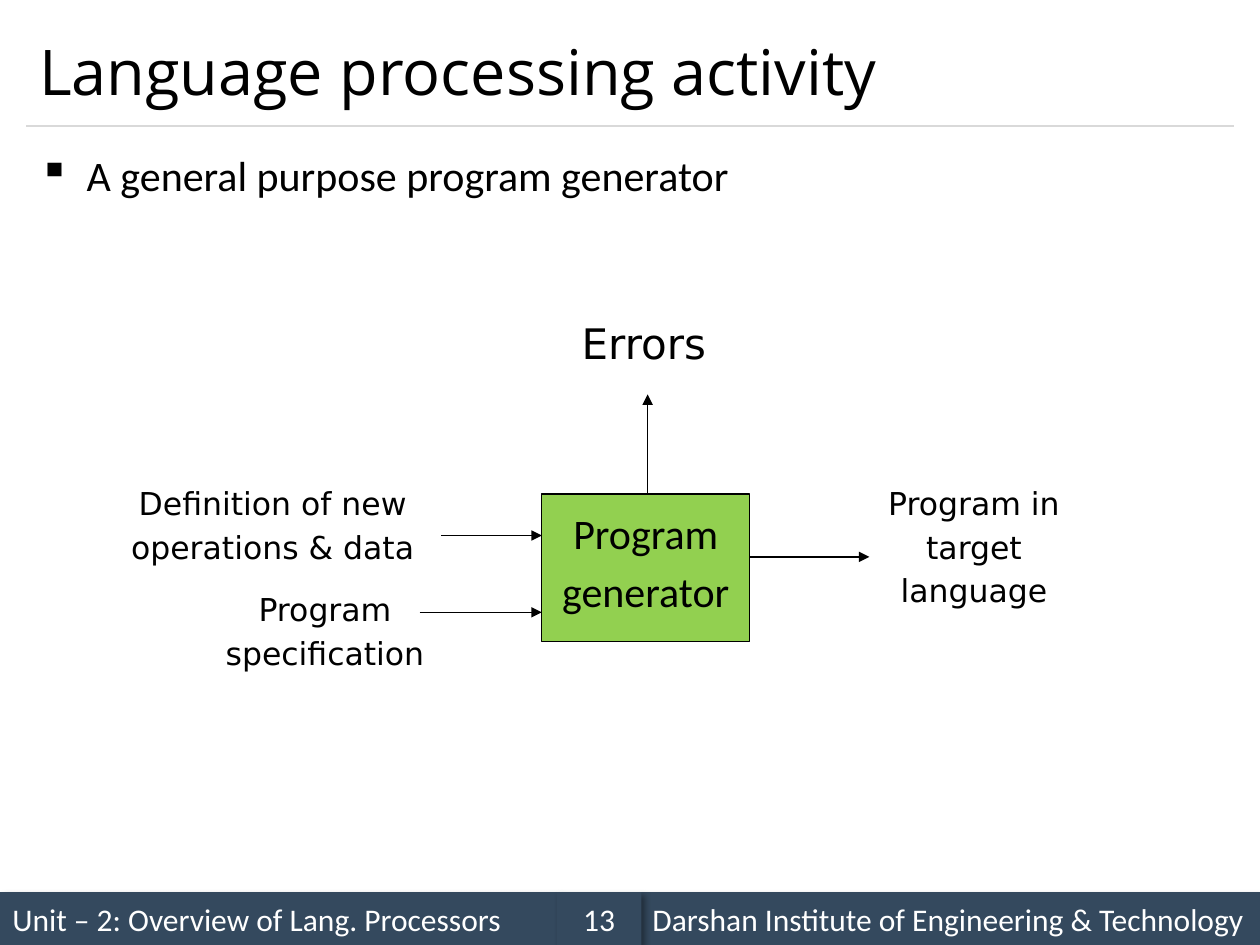
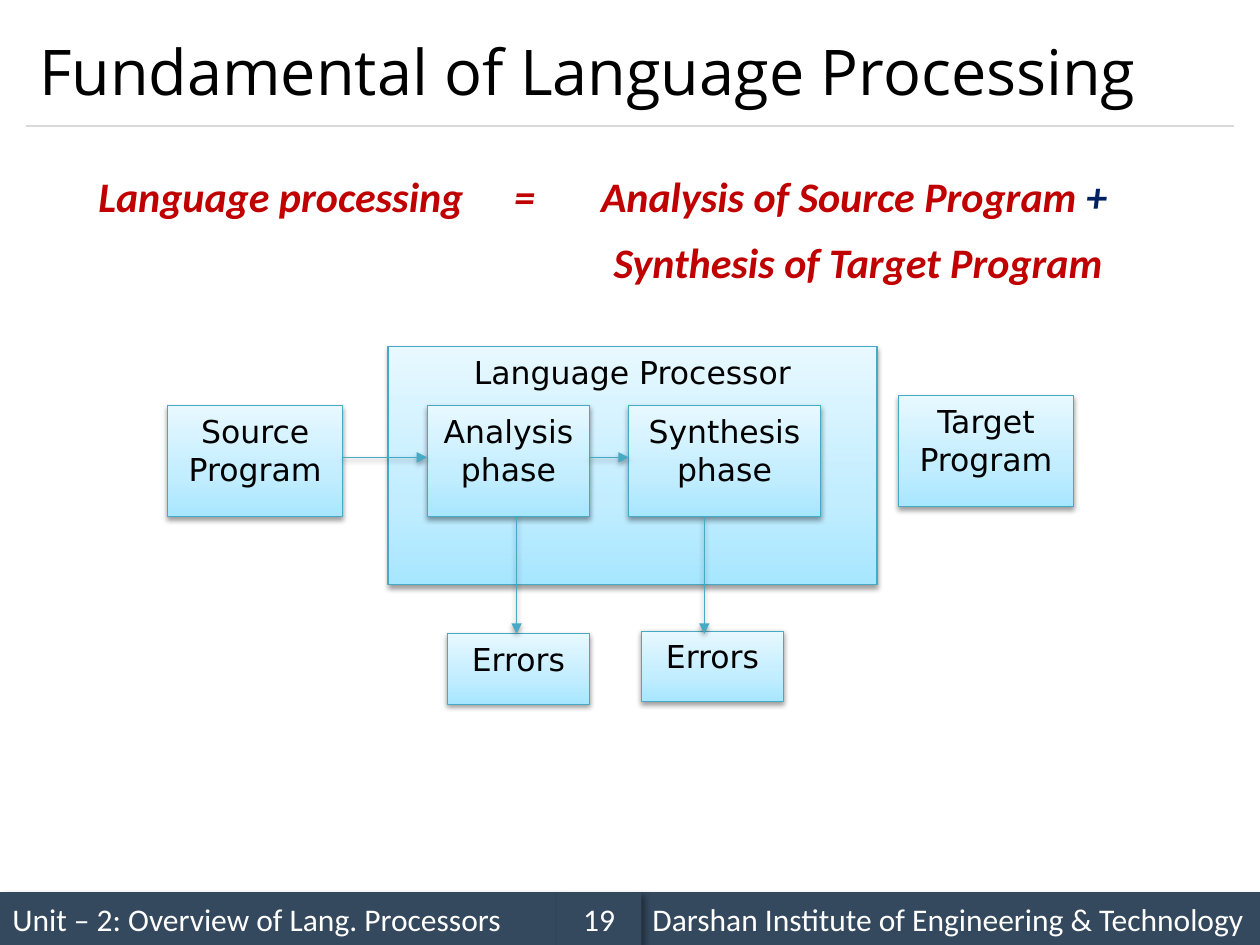
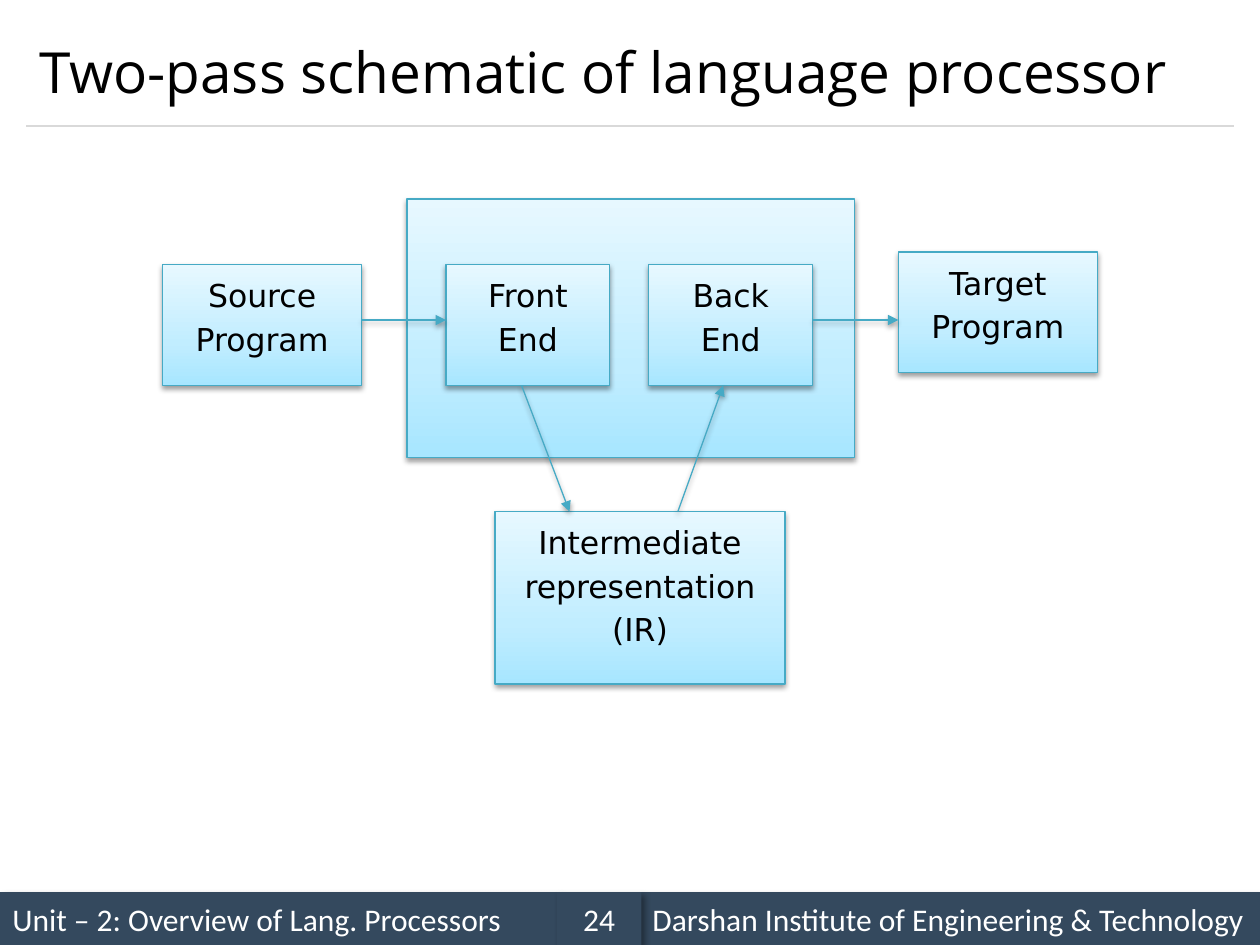
from copy import deepcopy

from lxml import etree
from pptx import Presentation
from pptx import util as u
from pptx.dml import color
from pptx.enum import shapes, text
from pptx.oxml import ns

# The slide is a grid of 100 columns and 75 rows
WIDTH, HEIGHT = u.Inches(10), u.Inches(7.5)
COLUMN, ROW = WIDTH / 100, HEIGHT / 75

BLACK, WHITE, BAND, RULE = "000000", "FFFFFF", "34495E", "D9D9D9"
GREEN, TEAL, RED, NAVY = "92D050", "46AAC5", "C00000", "002060"
SKY = [(0, "A7E6FF"), (0.35, "C1EDFF"), (1, "E7F8FF")]
BAND_SHADOW = {"alpha": 40, "blur": 4, "distance": 3, "angle": 45}
BOX_SHADOW = {"alpha": 38, "blur": 3.1, "distance": 1.6, "angle": 90}

TITLE = {"name": "Open Sans", "size": 36, "color": BLACK}
BODY = {"name": "Calibri", "size": 24, "color": BLACK}
FORMULA = {**BODY, "color": RED, "bold": True, "italic": True}
LABEL = {"name": "DejaVu Sans", "size": 18, "color": BLACK}
FOOTER = {"name": "Calibri", "size": 18, "color": WHITE}
LOOSE = 1.15

LEFT, CENTER = text.PP_ALIGN.LEFT, text.PP_ALIGN.CENTER
TOP, MIDDLE = text.MSO_ANCHOR.TOP, text.MSO_ANCHOR.MIDDLE


def rgb(code):
    return color.RGBColor.from_string(code)


def grid(column, row):
    return round(column * COLUMN), round(row * ROW)


def area(left, top, width, height):
    return grid(left, top) + grid(width, height)


def add_element(parent, tag, **attributes):
    element = etree.SubElement(parent, ns.qn(tag))
    for name, value in attributes.items():
        element.set(name, str(value))
    return element


def set_shadow(shape, shadow=None):
    """Replace the theme's shadow; call after fill and line are set."""
    effects = add_element(shape._element.spPr, "a:effectLst")
    if shadow:
        outer = add_element(effects, "a:outerShdw",
                            blurRad=u.Pt(shadow["blur"]), dist=u.Pt(shadow["distance"]),
                            dir=shadow["angle"] * 60000, algn="ctr", rotWithShape=0)
        tint = add_element(outer, "a:srgbClr", val=BLACK)
        add_element(tint, "a:alpha", val=shadow["alpha"] * 1000)


def set_fill(shape, fill):
    if isinstance(fill, str):
        shape.fill.solid()
        shape.fill.fore_color.rgb = rgb(fill)
        return
    shape.fill.gradient()
    shape.fill.gradient_angle = 90
    stops = shape._element.spPr.find(".//" + ns.qn("a:gsLst"))
    stops.insert(1, deepcopy(stops[0]))
    for stop, (position, code) in zip(shape.fill.gradient_stops, fill):
        stop.position = position
        stop.color.rgb = rgb(code)


def set_line(shape, code):
    shape.line.color.rgb = rgb(code)
    shape.line.width = u.Pt(0.75)


def write(para, words, style):
    span = para.add_run()
    span.text = words
    for name, value in style.items():
        if name == "color":
            span.font.color.rgb = rgb(value)
        else:
            setattr(span.font, name, u.Pt(value) if name == "size" else value)


def set_text(shape, words, style, align=CENTER, anchor=TOP, spacing=1.0):
    frame = shape.text_frame
    frame.word_wrap = True
    frame.vertical_anchor = anchor
    para = frame.paragraphs[0]
    para.alignment = align
    para.line_spacing = spacing
    write(para, words, style)
    return para


# Kinds of element
def add_box(page, place, fill, words="", style=LABEL, line=None, shadow=None, **layout):
    box = page.shapes.add_shape(shapes.MSO_SHAPE.RECTANGLE, *area(*place))
    set_fill(box, fill)
    if line:
        set_line(box, line)
    else:
        box.line.fill.background()
    set_shadow(box, shadow)
    if words:
        set_text(box, words, style, **layout)


def add_stage(page, place, words="", spacing=1.0):
    add_box(page, place, SKY, words, line=TEAL, shadow=BOX_SHADOW, spacing=spacing)


def add_line(page, start, end, code, arrow=True, shadow=None):
    line = page.shapes.add_connector(shapes.MSO_CONNECTOR.STRAIGHT, *grid(*start), *grid(*end))
    set_line(line, code)
    if arrow:
        add_element(line.line._get_or_add_ln(), "a:tailEnd", type="triangle")
    set_shadow(line, shadow)


def add_flows(page, flows):
    for start, end in flows:
        add_line(page, start, end, TEAL, shadow=BOX_SHADOW)


def add_page(deck, title, number, size=36):
    page = deck.slides.add_slide(deck.slide_layouts[5])
    heading = page.shapes.title
    heading.left, heading.top, heading.width, heading.height = area(2.1, 1.2, 95.8, 8.8)
    set_text(heading, title, {**TITLE, "size": size}, LEFT, MIDDLE)
    add_line(page, (2.1, 10), (97.9, 10), RULE, arrow=False)
    for left, width, words, align in [
        (0, 44.2, "Unit – 2: Overview of Lang. Processors", LEFT),
        (50.8, 49.2, "Darshan Institute of Engineering & Technology", LEFT),
        (44.2, 6.7, str(number), CENTER),
    ]:
        add_box(page, (left, 70.8, width, 4.2), BAND, words, FOOTER,
                shadow=BAND_SHADOW, align=align, anchor=MIDDLE)
    return page


# Slides
def add_generator(deck):
    page = add_page(deck, "Language processing activity", 13)
    body = page.shapes.add_textbox(*area(2.1, 10.8, 95.8, 8.3))
    para = set_text(body, "A general purpose program generator", BODY, LEFT, spacing=1.14)
    settings = para._p.get_or_add_pPr()
    settings.set("marL", str(u.Inches(0.38)))
    settings.set("indent", str(-u.Inches(0.38)))
    add_element(settings, "a:buChar", char="▪")

    for place, words, size in [
        ((13.3, 45.9, 25, 7.3), "Program specification", 18),
        ((68.4, 37.5, 17.8, 12), "Program in target language", 18),
        ((43.8, 24.1, 14.6, 9.3), "Errors", 24),
        ((8.3, 37.5, 26.7, 8.6), "Definition of new operations & data", 18),
    ]:
        add_box(page, place, WHITE, words, {**LABEL, "size": size}, line=WHITE, spacing=LOOSE)
    add_box(page, (43, 39.2, 16.5, 11.7), GREEN, "Program generator", BODY,
            line=BLACK, spacing=LOOSE)
    for start, end in [
        ((35, 42.5), (43, 42.5)),
        ((33.3, 48.6), (43, 48.6)),
        ((59.5, 44.2), (69, 44.2)),
        ((51.4, 39.2), (51.4, 31.3)),
    ]:
        add_line(page, start, end, BLACK)


def add_fundamental(deck):
    page = add_page(deck, "Fundamental of Language Processing", 19)
    body = page.shapes.add_textbox(*area(3.2, 12.5, 90.2, 12.5))
    frame = body.text_frame
    frame.margin_left = u.Inches(0.46)
    first = set_text(body, "Language processing\t=\tAnalysis of Source Program ",
                     FORMULA, LEFT, spacing=1.14)
    write(first, "+", {**FORMULA, "color": NAVY})
    second = frame.add_paragraph()
    second.line_spacing = 1.14
    second.space_before = u.Pt(4.8)
    write(second, "\tSynthesis of Target Program", FORMULA)
    for para, stops in [(first, (3.3, 3.99)), (second, (4.09,))]:
        tabs = add_element(para._p.get_or_add_pPr(), "a:tabLst")
        for stop in stops:
            add_element(tabs, "a:tab", pos=u.Inches(stop), algn="l")

    top, height = 32.2, 8.8
    for place, words in [
        ((30.8, 27.5, 38.8, 18.9), "Language Processor"),
        ((33.9, top, 12.9, height), "Analysis phase"),
        ((49.9, top, 15.2, height), "Synthesis phase"),
        ((35.5, 50.3, 11.3, 5.6), "Errors"),
        ((50.9, 50.1, 11.3, 5.6), "Errors"),
        ((13.3, top, 13.9, height), "Source Program"),
        ((71.3, 31.4, 13.9, height), "Target Program"),
    ]:
        add_stage(page, place, words)
    bottom, middle = top + height, 36.3
    add_flows(page, [
        ((27.2, middle), (33.9, middle)),
        ((46.8, middle), (49.9, middle)),
        ((41, bottom), (41, 50.3)),
        ((55.9, bottom), (55.9, 50.3)),
    ])


def add_two_pass(deck):
    page = add_page(deck, "Two-pass schematic of language processor", 24, 32.4)
    top, height = 21, 9.6
    for place, words in [
        ((32.3, 15.8, 35.5, 20.5), ""),
        ((35.4, top, 13, height), "Front End"),
        ((51.5, top, 13, height), "Back End"),
        ((39.3, 40.6, 23, 13.7), "Intermediate representation (IR)"),
        ((12.9, top, 15.8, height), "Source Program"),
        ((71.3, 20, 15.8, height), "Target Program"),
    ]:
        add_stage(page, place, words, LOOSE)
    bottom, middle = top + height, 25.4
    add_flows(page, [
        ((28.7, middle), (35.4, middle)),
        ((64.5, middle), (71.3, middle)),
        ((41.4, bottom), (45.2, 40.6)),
        ((53.8, 40.6), (57.4, bottom)),
    ])


def main():
    deck = Presentation()
    deck.slide_width, deck.slide_height = WIDTH, HEIGHT
    add_generator(deck)
    add_fundamental(deck)
    add_two_pass(deck)
    deck.save("out.pptx")


if __name__ == "__main__":
    main()
